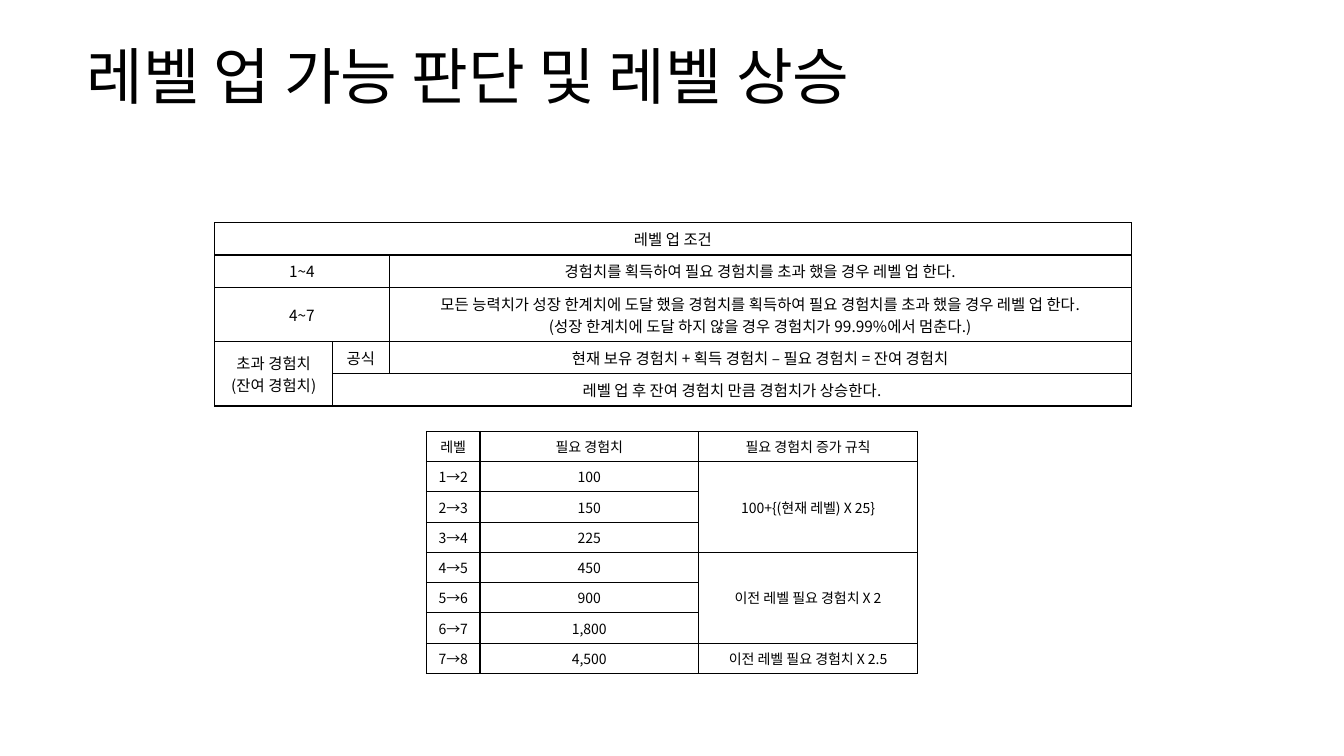
import pptx
import pptx.dml.color
import pptx.enum.text
import pptx.oxml
import pptx.oxml.ns
import pptx.util

Inches, Pt = pptx.util.Inches, pptx.util.Pt
ALIGN = pptx.enum.text.PP_ALIGN
MIDDLE = pptx.enum.text.MSO_ANCHOR.MIDDLE
FACE = "Noto Sans CJK KR"
HUES = {"ink": "000000"}

# Texts and merges, keyed by (row, column)
RULES = {
    (0, 0): "레벨 업 조건",
    (1, 0): "1~4",
    (1, 2): "경험치를 획득하여 필요 경험치를 초과 했을 경우 레벨 업 한다.",
    (2, 0): "4~7",
    (2, 2): "모든 능력치가 성장 한계치에 도달 했을 경험치를 획득하여 필요 경험치를 "
            "초과 했을 경우 레벨 업 한다.\n"
            "(성장 한계치에 도달 하지 않을 경우 경험치가 99.99%에서 멈춘다.)",
    (3, 0): "초과 경험치\n(잔여 경험치)",
    (3, 1): "공식",
    (3, 2): "현재 보유 경험치 + 획득 경험치 – 필요 경험치 = 잔여 경험치",
    (4, 1): "레벨 업 후 잔여 경험치 만큼 경험치가 상승한다.",
}
RULE_SPANS = [((0, 0), (0, 2)), ((1, 0), (1, 1)), ((2, 0), (2, 1)),
              ((3, 0), (4, 0)), ((4, 1), (4, 2))]

NEEDS = ["100", "150", "225", "450", "900", "1,800", "4,500"]
LEVELS = {
    (0, 0): "레벨",
    (0, 1): "필요 경험치",
    (0, 2): "필요 경험치 증가 규칙",
    (1, 2): "100+{(현재 레벨) X 25}",
    (4, 2): "이전 레벨 필요 경험치 X 2",
    (7, 2): "이전 레벨 필요 경험치 X 2.5",
}
for step, need in enumerate(NEEDS, 1):
    LEVELS[step, 0] = f"{step}→{step + 1}"
    LEVELS[step, 1] = need
LEVEL_SPANS = [((1, 2), (3, 2)), ((4, 2), (6, 2))]


def put(item, values):
    for name, value in values.items():
        setattr(item, name, value)


def write(frame, text, size, layout):
    """Fill a text frame, one paragraph per line."""
    frame.text = text
    for para in frame.paragraphs:
        put(para, layout)
        for run in para.runs:
            put(run.font, {"size": Pt(size), "name": FACE, "bold": False})
            run.font.color.rgb = pptx.dml.color.RGBColor.from_string(HUES["ink"])
            asian = pptx.oxml.parse_xml(
                f'<a:ea {pptx.oxml.ns.nsdecls("a")} typeface="{FACE}"/>')
            run.font._element.append(asian)


def edge(cell):
    """Draw a thin line on all four sides of a cell."""
    props = cell._tc.get_or_add_tcPr()
    for side in "LRTB":
        props.append(pptx.oxml.parse_xml(
            f'<a:ln{side} {pptx.oxml.ns.nsdecls("a")} w="{Pt(1)}"><a:solidFill>'
            f'<a:srgbClr val="{HUES["ink"]}"/></a:solidFill></a:ln{side}>'))


def title(slide, text):
    box = slide.shapes.add_textbox(Inches(0.76), Inches(0.32),
                                   Inches(11.81), Inches(0.94))
    put(box.text_frame, {"word_wrap": True, "vertical_anchor": MIDDLE})
    write(box.text_frame, text, 44, {"line_spacing": 0.9})


def grid(slide, left, top, cols, rows, texts, spans, size):
    frame = slide.shapes.add_table(len(rows), len(cols), Inches(left), Inches(top),
                                   Inches(sum(cols)), Inches(sum(rows)))
    table = frame.table
    put(table, {"first_row": False, "horz_banding": False})
    for col, width in zip(table.columns, cols):
        col.width = Inches(width)
    for row, height in zip(table.rows, rows):
        row.height = Inches(height)
    for start, end in spans:
        table.cell(*start).merge(table.cell(*end))
    for cell in table.iter_cells():
        edge(cell)
        cell.fill.background()
        cell.vertical_anchor = MIDDLE
    for spot, text in texts.items():
        write(table.cell(*spot).text_frame, text, size, {"alignment": ALIGN.CENTER})


def main():
    deck = pptx.Presentation()
    put(deck, {"slide_width": Inches(13.33), "slide_height": Inches(7.5)})
    slide = deck.slides.add_slide(deck.slide_layouts[6])

    title(slide, "레벨 업 가능 판단 및 레벨 상승")
    # Conditions for levelling up
    grid(slide, 2.13, 2.21, [1.17, 0.56, 7.36], [0.32, 0.32, 0.54, 0.32, 0.32],
         RULES, RULE_SPANS, 11)
    # Experience needed at each level
    grid(slide, 4.23, 4.28, [0.53, 2.17, 2.17], [0.3] * 8,
         LEVELS, LEVEL_SPANS, 10)

    deck.save("out.pptx")


if __name__ == "__main__":
    main()
